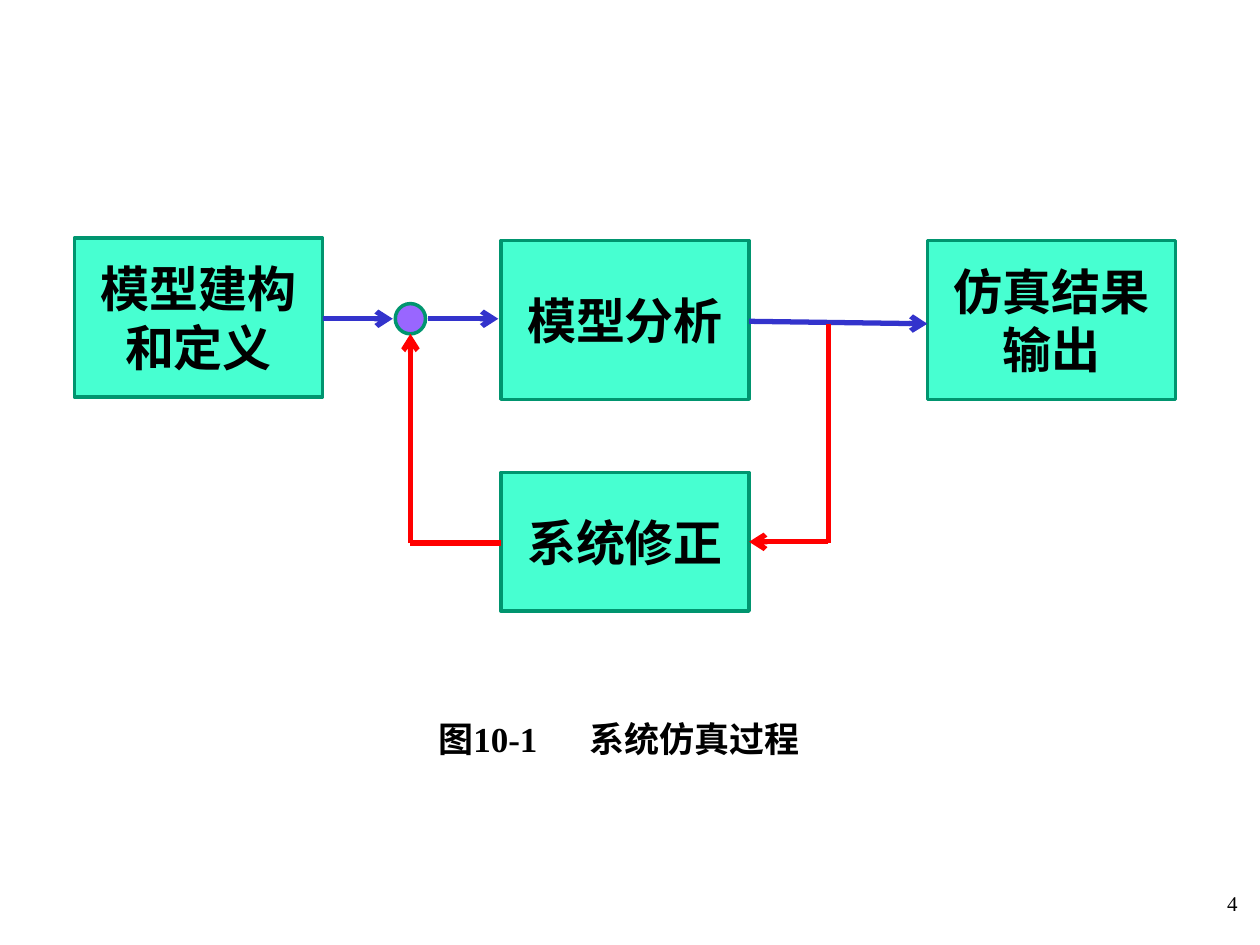
from collections import namedtuple

from lxml import etree
from pptx import Presentation, util as u
from pptx.dml.color import RGBColor
from pptx.enum import shapes, text
from pptx.oxml.ns import qn

# The slide is a grid of 100 columns by 75 rows
CELL = u.Inches(0.1)
Box = namedtuple("Box", "left top width height")

FONT = "Times New Roman"
BLACK, MINT, GREEN = "000000", "47FFD1", "00956F"
PURPLE, BLUE, RED = "9966FF", "3333CC", "FF0000"


def cells(*counts):
    return [u.Emu(round(count * CELL)) for count in counts]


def colour(value):
    return RGBColor.from_string(value)


def write(shape, content, size, bold=False, align=text.PP_ALIGN.LEFT,
          anchor=text.MSO_ANCHOR.MIDDLE, wrap=True, tab=None):
    frame = shape.text_frame
    frame.word_wrap = wrap
    frame.vertical_anchor = anchor
    frame.text = content
    for para in frame.paragraphs:
        para.alignment = align
        if tab:
            stops = etree.SubElement(para._p.get_or_add_pPr(), qn("a:tabLst"))
            etree.SubElement(stops, qn("a:tab"), pos=str(cells(tab)[0]), algn="l")
        para.font.name = FONT
        para.font.size = u.Pt(size)
        para.font.bold = bold
        para.font.color.rgb = colour(BLACK)


def add_node(page, box, fill, label="", kind=shapes.MSO_SHAPE.RECTANGLE):
    node = page.shapes.add_shape(kind, *cells(*box))
    node.shadow.inherit = False
    node.fill.solid()
    node.fill.fore_color.rgb = colour(fill)
    node.line.color.rgb = colour(GREEN)
    node.line.width = u.Pt(2)
    if label:
        write(node, label, 28, bold=True, align=text.PP_ALIGN.CENTER)


def add_link(page, start, end, stroke, arrow=True):
    link = page.shapes.add_connector(shapes.MSO_CONNECTOR.STRAIGHT,
                                     *cells(*start, *end))
    link.line.color.rgb = colour(stroke)
    link.line.width = u.Pt(3)
    if arrow:
        etree.SubElement(link.line._get_or_add_ln(), qn("a:tailEnd"), type="arrow")
    etree.SubElement(link._element.spPr, qn("a:effectLst"))


def add_label(page, box, content, size, **style):
    label = page.shapes.add_textbox(*cells(*box))
    write(label, content, size, **style)


def draw_flow(page, box):
    """Three stages in a row, with a correction loop under the middle one."""
    wide, tall, low = 19.7, 12.6, 11
    pitch = (box.width - wide) / 2
    model, analysis, output = [box.left + pitch * i for i in range(3)]
    model_end, analysis_end = model + wide, analysis + wide
    bottom = box.top + box.height
    flow_row, output_row = box.top + 6.4, box.top + 6.8
    loop_row = bottom - 5.5

    # Stages
    add_node(page, Box(model, box.top, wide, tall), MINT, "模型建构\n和定义")
    add_node(page, Box(analysis, bottom - low, wide, low), MINT, "系统修正")
    add_node(page, Box(output, box.top + 0.2, wide, tall), MINT, "仿真结果\n输出")
    add_node(page, Box(analysis, box.top + 0.2, wide, tall), MINT, "模型分析")

    # Junction between the first two stages
    size = 2.4
    junction = (model_end + analysis) / 2 - 0.1
    add_node(page, Box(junction - size / 2, flow_row - 1.2, size, size), PURPLE,
             kind=shapes.MSO_SHAPE.FLOWCHART_CONNECTOR)

    # Forward links
    add_link(page, (analysis_end, output_row - 0.2), (output, output_row), BLUE)
    add_link(page, (junction + 1.4, flow_row), (analysis - 0.2, flow_row), BLUE)
    add_link(page, (model_end, flow_row), (junction - 1.4, flow_row), BLUE)

    # Correction loop
    branch = analysis_end + 6.3
    add_link(page, (branch, loop_row), (analysis_end, loop_row), RED)
    add_link(page, (branch, output_row), (branch, loop_row + 0.1), RED, arrow=False)
    add_link(page, (junction, loop_row + 0.1), (junction, flow_row + 1.2), RED)
    add_link(page, (analysis, loop_row + 0.1), (junction, loop_row + 0.1), RED,
             arrow=False)


def main():
    deck = Presentation()
    deck.slide_width, deck.slide_height = cells(100, 75)
    page = deck.slides.add_slide(deck.slide_layouts[6])

    draw_flow(page, Box(5.9, 18.9, 87.4, 29.6))

    # Caption and page number
    add_label(page, Box(33.8, 56.4, 30.7, 4.4), "图10-1\t系统仿真过程", 20,
              bold=True, wrap=False, tab=12)
    add_label(page, Box(95, 70.2, 4.2, 4), "4", 12,
              align=text.PP_ALIGN.RIGHT, anchor=text.MSO_ANCHOR.TOP)

    deck.save("out.pptx")


if __name__ == "__main__":
    main()
